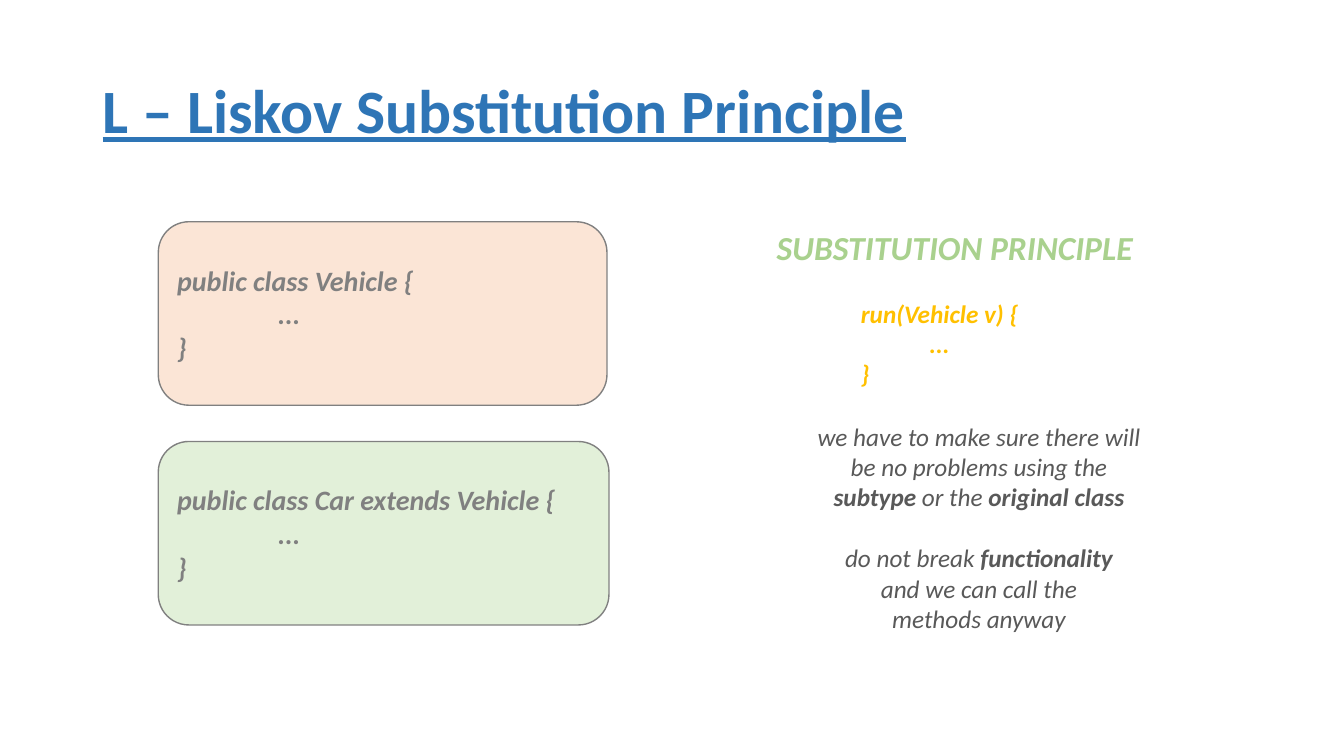
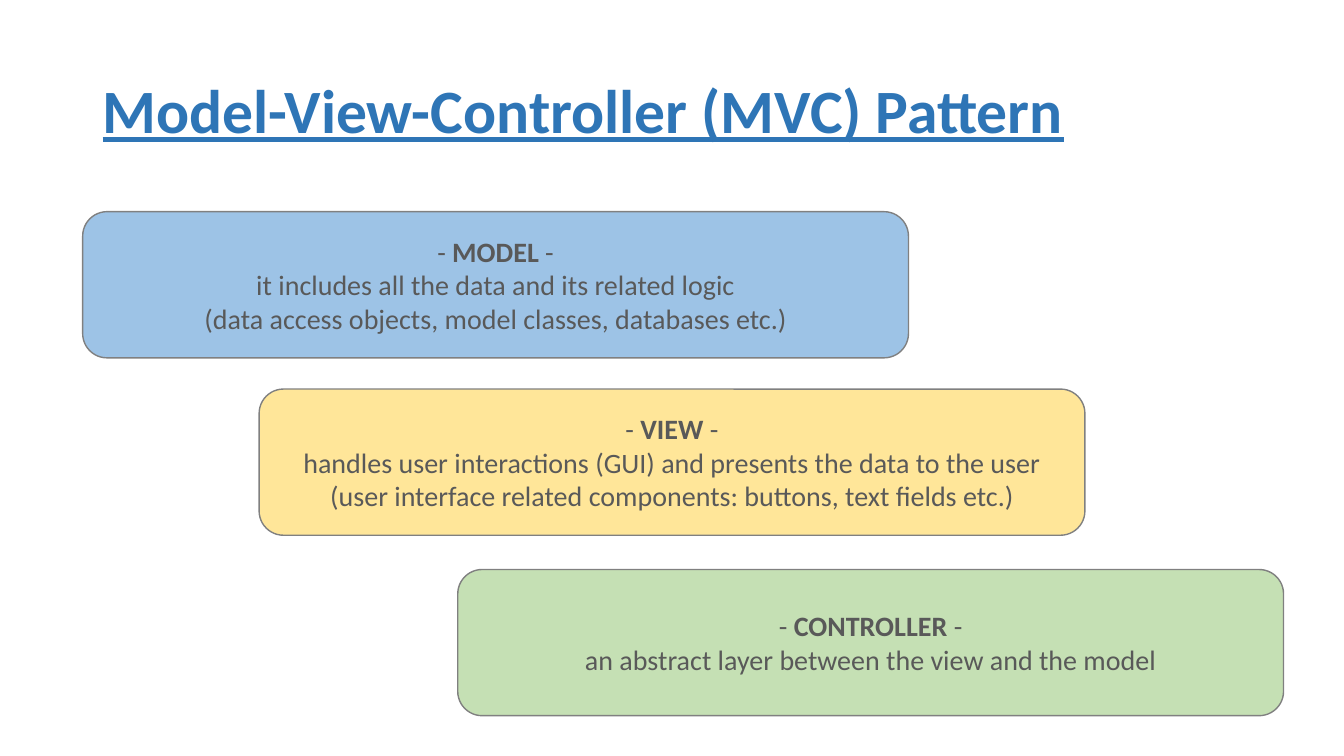
from pptx import Presentation
from pptx.dml.color import RGBColor
from pptx.enum.shapes import MSO_SHAPE
from pptx.enum.text import MSO_ANCHOR, PP_ALIGN
from pptx.util import Pt

EMU_PER_PX = 9144
FONT = "Calibri"
COLOURS = {
    "title": "2E75B6",
    "outline": "808080",
    "code": "808080",
    "body": "595959",
    "heading": "A9D18E",
    "highlight": "FFC000",
    "vehicle": "FBE5D6",
    "car": "E2F0D9",
    "model": "9DC3E6",
    "view": "FFE699",
    "controller": "C5E0B4",
}
CODE_STYLE = {"size": 20, "colour": "code", "bold": True, "italic": True}
LAYER_STYLE = {"size": 20, "colour": "body", "align": PP_ALIGN.CENTER}


def px(length):
    return length * EMU_PER_PX


def rgb(name):
    return RGBColor.from_string(COLOURS[name])


def write_lines(frame, lines, size, colour, bold=False, italic=False,
                underline=False, align=PP_ALIGN.LEFT, indents=None, gaps=None):
    """Write one paragraph per line; text between asterisks is bold."""
    for index, line in enumerate(lines):
        paragraph = frame.paragraphs[0] if index == 0 else frame.add_paragraph()
        paragraph.alignment = align
        if indents and index in indents:
            paragraph._p.get_or_add_pPr().set("marL", str(px(indents[index])))
        if gaps and index in gaps:
            paragraph.space_before = Pt(gaps[index])
        font = paragraph.font
        font.name, font.size = FONT, Pt(size)
        font.bold, font.italic, font.underline = bold, italic, underline
        font.color.rgb = rgb(colour)
        for position, text in enumerate(line.split("*")):
            if text:
                run = paragraph.add_run()
                run.text = text
                if position % 2:
                    run.font.bold = True


def add_text(slide, box, lines, anchor=MSO_ANCHOR.TOP, **style):
    frame = slide.shapes.add_textbox(*map(px, box)).text_frame
    frame.word_wrap = True
    frame.vertical_anchor = anchor
    write_lines(frame, lines, **style)
    return frame


def add_title(slide, text):
    frame = add_text(slide, (92, 40, 1150, 145), [text], MSO_ANCHOR.MIDDLE,
                     size=44, colour="title", bold=True, underline=True)
    frame.paragraphs[0].line_spacing = 0.9


def add_card(slide, box, fill, lines, **style):
    shape = slide.shapes.add_shape(MSO_SHAPE.ROUNDED_RECTANGLE, *map(px, box))
    shape.shadow.inherit = False
    shape.fill.solid()
    shape.fill.fore_color.rgb = rgb(fill)
    shape.line.color.rgb = rgb("outline")
    shape.line.width = Pt(1)
    frame = shape.text_frame
    frame.word_wrap = True
    frame.vertical_anchor = MSO_ANCHOR.MIDDLE
    write_lines(frame, lines, **style)


def add_slide(presentation, title):
    slide = presentation.slides.add_slide(presentation.slide_layouts[6])
    add_title(slide, title)
    return slide


def build_liskov(presentation):
    slide = add_slide(presentation, "L – Liskov Substitution Principle")
    classes = [
        (220, 445, "vehicle", "public class Vehicle {"),
        (438, 447, "car", "public class Car extends Vehicle {"),
    ]
    for top, width, fill, declaration in classes:
        add_card(slide, (157, top, width, 182), fill, [declaration, "...", "}"],
                 indents={1: 100}, **CODE_STYLE)
    add_text(slide, (744, 220, 406, 51), ["SUBSTITUTION PRINCIPLE"], size=24,
             colour="heading", bold=True, italic=True, align=PP_ALIGN.CENTER)
    add_text(slide, (844, 291, 250, 102), ["run(Vehicle v) {", "...", "}"],
             size=18, colour="highlight", bold=True, italic=True, indents={1: 68})
    explanation = [
        "we have to make sure there will",
        "be no problems using the",
        "*subtype* or the *original class*",
        "do not break *functionality*",
        "and we can call the",
        "methods anyway",
    ]
    add_text(slide, (744, 413, 454, 224), explanation, size=18, colour="body",
             italic=True, align=PP_ALIGN.CENTER, gaps={3: 22})


def build_mvc(presentation):
    slide = add_slide(presentation, "Model-View-Controller (MVC) Pattern")
    layers = [
        (82, 210, "model", [
            "- *MODEL* -",
            "it includes all the data and its related logic",
            "(data access objects, model classes, databases etc.)",
        ]),
        (257, 386, "view", [
            "- *VIEW* -",
            "handles user interactions (GUI) and presents the data to the user",
            "(user interface related components: buttons, text fields etc.)",
        ]),
        (454, 565, "controller", [
            "- *CONTROLLER* -",
            "an abstract layer between the view and the model",
        ]),
    ]
    for left, top, fill, lines in layers:
        add_card(slide, (left, top, 819, 145), fill, lines, **LAYER_STYLE)


def main():
    presentation = Presentation()
    presentation.slide_width = px(1333)
    presentation.slide_height = px(750)
    build_liskov(presentation)
    build_mvc(presentation)
    presentation.save("out.pptx")


if __name__ == "__main__":
    main()
